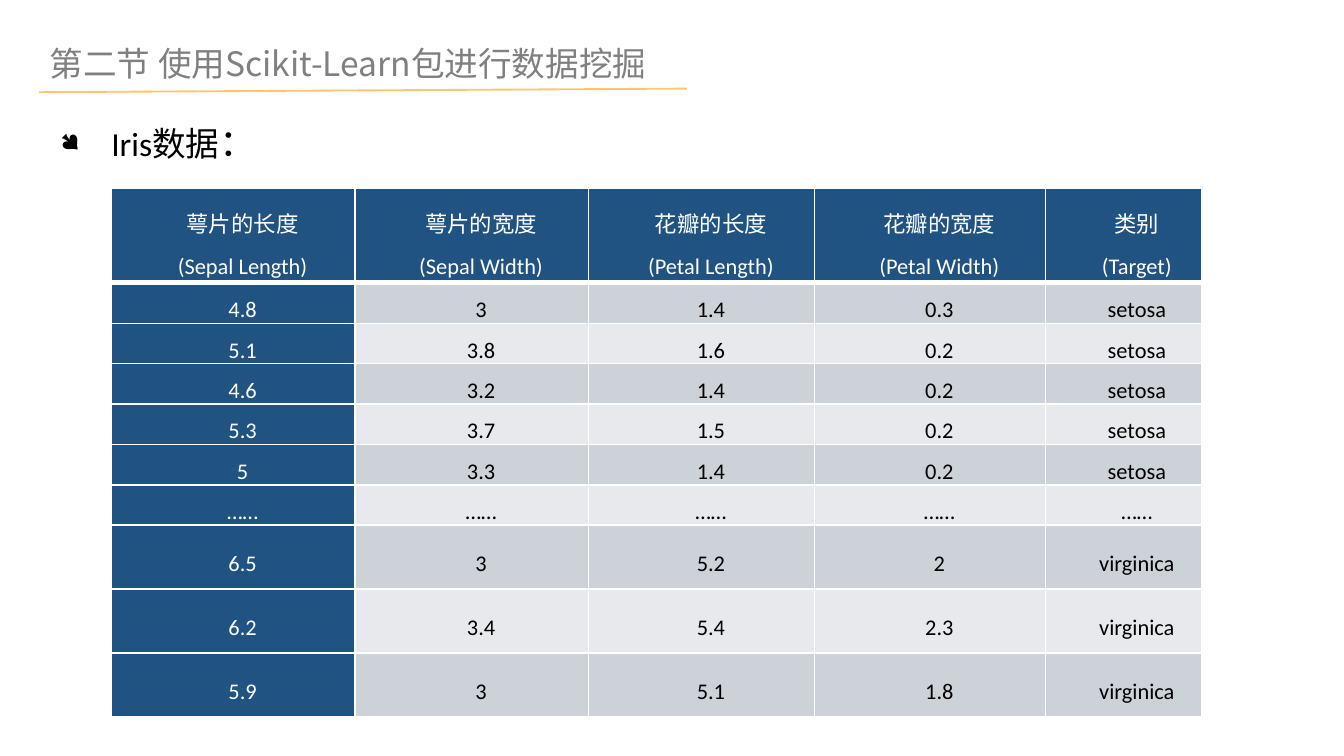
from dataclasses import dataclass

from lxml import etree
from pptx import Presentation
from pptx import util as u
from pptx.dml.color import RGBColor
from pptx.enum import shapes, text
from pptx.oxml import ns

W, H = u.Emu(9144000), u.Emu(5145088)


@dataclass(frozen=True)
class Theme:
    latin: str = "Calibri"
    cjk: str = "Noto Sans CJK SC"
    symbol: str = "Wingdings"
    title: str = "808080"
    rule: str = "FFC56C"
    ink: str = "000000"
    paper: str = "FFFFFF"
    head: str = "205381"
    bands: tuple = ("CDD1D8", "E8E9ED")
    title_pt: int = 18
    bullet_pt: int = 18
    colon_pt: int = 20
    cell_pt: int = 12


T = Theme()

COLUMNS = (18.1, 17.4, 16.8, 17.2, 11.6)
HEADER_H, FIRST_H, LAST_H = 12.6, 4.26, 8.45
ROWS = (
    ("萼片的长度\n(Sepal Length)", "萼片的宽度\n(Sepal Width)", "花瓣的长度\n(Petal Length)",
     "花瓣的宽度\n(Petal Width)", "类别\n(Target)"),
    ("4.8", "3", "1.4", "0.3", "setosa"),
    ("5.1", "3.8", "1.6", "0.2", "setosa"),
    ("4.6", "3.2", "1.4", "0.2", "setosa"),
    ("5.3", "3.7", "1.5", "0.2", "setosa"),
    ("5", "3.3", "1.4", "0.2", "setosa"),
    ("……",) * 5,
    ("6.5", "3", "5.2", "2", "virginica"),
    ("6.2", "3.4", "5.4", "2.3", "virginica"),
    ("5.9", "3", "5.1", "1.8", "virginica"),
)


def x(percent):
    return round(W * percent / 100)


def y(percent):
    return round(H * percent / 100)


def sub(parent, tag, **attrs):
    return etree.SubElement(parent, ns.qn(tag), {k: str(v) for k, v in attrs.items()})


def style(r, size, color, face=T.latin):
    r.font.size = u.Pt(size)
    r.font.name = face
    r.font.color.rgb = RGBColor.from_string(color)


def indent(p, left, first):
    pPr = p._p.get_or_add_pPr()
    pPr.set("marL", str(x(left)))
    pPr.set("indent", str(x(first)))
    return pPr


def add_title(s, words):
    tf = s.shapes.add_textbox(x(2.9), y(4.97), x(48.2), y(6.75)).text_frame
    tf.word_wrap = False
    tf.margin_left = tf.margin_right = u.Inches(0.08)
    tf.margin_top = tf.margin_bottom = u.Inches(0.04)
    tf.text = words
    r = tf.paragraphs[0].runs[0]
    style(r, T.title_pt, T.title, T.cjk)
    sub(r._r.get_or_add_rPr(), "a:ea", typeface=T.cjk)


def add_rule(s):
    ln = s.shapes.add_connector(shapes.MSO_CONNECTOR.STRAIGHT,
                                x(2.9), y(12.2), x(51.1), y(11.72))
    ln.line.color.rgb = RGBColor.from_string(T.rule)
    ln.line.width = u.Pt(1)
    sub(ln._element.spPr, "a:effectLst")


def add_bullet(s, label, colon):
    tf = s.shapes.add_textbox(x(3.5), y(14.95), x(91.3), y(16.52)).text_frame
    tf.word_wrap = True
    p = tf.paragraphs[0]
    p.space_before = u.Pt(6)
    pPr = indent(p, 3.8, -3.8)
    sub(pPr, "a:buSzPct", val=75000)
    sub(pPr, "a:buFont", typeface=T.symbol, charset=2)
    sub(pPr, "a:buChar", char="●")
    for words, size in ((label, T.bullet_pt), (colon, T.colon_pt)):
        r = p.add_run()
        r.text = words
        style(r, size, T.ink)


def border(cell, **widths):
    tcPr = cell._tc.get_or_add_tcPr()
    for side in "LRTB":
        ln = sub(tcPr, f"a:ln{side}", w=u.Pt(widths.get(side, 1)))
        sub(sub(ln, "a:solidFill"), "a:srgbClr", val=T.paper)


def fill_cell(cell, words, row, col):
    dark = row == 0 or col == 0
    border(cell, **({"B": 3} if row == 0 else {"T": 3} if row == 1 else {}))
    cell.fill.solid()
    cell.fill.fore_color.rgb = RGBColor.from_string(T.head if dark else T.bands[(row - 1) % 2])
    cell.margin_left = cell.margin_right = cell.margin_top = cell.margin_bottom = 0
    cell.vertical_anchor = text.MSO_ANCHOR.MIDDLE
    cell.text_frame.text = words
    for p in cell.text_frame.paragraphs:
        p.alignment = text.PP_ALIGN.CENTER
        p.line_spacing = 1.5
        indent(p, 0.6 if col == len(COLUMNS) - 1 else 0, 1.4)
        style(p.runs[0], T.cell_pt, T.paper if dark else T.ink)


def add_data_table(s):
    heights = [HEADER_H] + [FIRST_H] * 6 + [LAST_H] * 3
    tbl = s.shapes.add_table(len(ROWS), len(COLUMNS), x(8.3), y(24.83),
                             x(sum(COLUMNS)), y(sum(heights))).table
    tbl.first_row = tbl.horz_banding = False
    for column, width in zip(tbl.columns, COLUMNS):
        column.width = x(width)
    for i, (height, values) in enumerate(zip(heights, ROWS)):
        tbl.rows[i].height = y(height)
        for j, words in enumerate(values):
            fill_cell(tbl.cell(i, j), words, i, j)


def main():
    prs = Presentation()
    prs.slide_width, prs.slide_height = W, H
    s = prs.slides.add_slide(prs.slide_layouts[6])
    add_title(s, "第二节 使用Scikit-Learn包进行数据挖掘")
    add_rule(s)
    add_bullet(s, "Iris数据", "：")
    add_data_table(s)
    prs.save("out.pptx")


if __name__ == "__main__":
    main()
